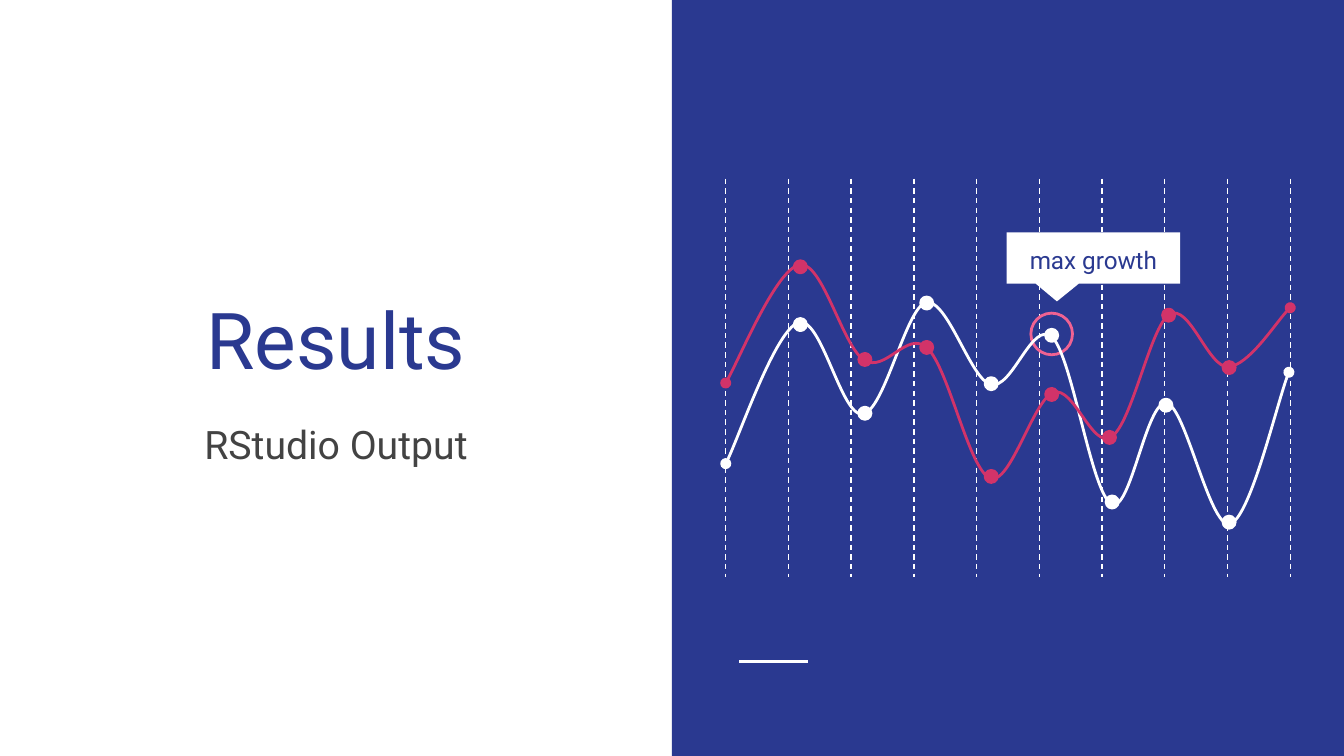
import pptx
import pptx.util
import pptx.dml.color
import pptx.enum.dml
import pptx.enum.shapes
import pptx.enum.text
import pptx.oxml.ns
from lxml import etree

Inches = pptx.util.Inches
Pt = pptx.util.Pt
SHAPE = pptx.enum.shapes.MSO_SHAPE
ANCHOR = pptx.enum.text.MSO_ANCHOR
qn = pptx.oxml.ns.qn

# Widescreen slide, 16:9
WIDTH = 10
HEIGHT = WIDTH * 9 / 16

COLORS = {"blue": "2A3990", "white": "FFFFFF", "red": "D23369",
          "pink": "F06292", "gray": "434343"}

# Each curve: a start point, then two control points and a node per segment
WHITE_CURVE = [
    (5.4, 3.45),
    (5.49, 3.28), (5.77, 2.46), (5.94, 2.4),
    (6.11, 2.34), (6.26, 3.11), (6.42, 3.08),
    (6.58, 3.06), (6.74, 2.29), (6.89, 2.25),
    (7.05, 2.22), (7.22, 2.82), (7.37, 2.86),
    (7.53, 2.91), (7.68, 2.37), (7.83, 2.51),
    (7.98, 2.66), (8.12, 3.67), (8.27, 3.75),
    (8.41, 3.83), (8.53, 2.97), (8.68, 3),
    (8.82, 3.02), (9, 3.93), (9.15, 3.9),
    (9.3, 3.86), (9.51, 2.96), (9.59, 2.77)]
RED_CURVE = [
    (5.4, 2.85),
    (5.49, 2.7), (5.78, 2), (5.95, 1.97),
    (6.12, 1.94), (6.27, 2.58), (6.43, 2.68),
    (6.59, 2.78), (6.75, 2.45), (6.9, 2.59),
    (7.06, 2.74), (7.21, 3.5), (7.37, 3.56),
    (7.52, 3.61), (7.69, 2.97), (7.84, 2.92),
    (7.99, 2.87), (8.13, 3.35), (8.27, 3.25),
    (8.42, 3.16), (8.56, 2.43), (8.7, 2.34),
    (8.85, 2.25), (8.99, 2.74), (9.14, 2.73),
    (9.29, 2.72), (9.52, 2.36), (9.6, 2.29)]

# Left and top of each marker
WHITE_DOTS = [(5.91, 2.37), (6.39, 3.03), (6.85, 2.21), (7.33, 2.81),
              (7.78, 2.45), (8.23, 3.69), (8.63, 2.97), (9.1, 3.84)]
RED_DOTS = [(5.91, 1.94), (6.39, 2.63), (6.85, 2.54), (7.33, 3.5),
            (7.78, 2.89), (8.21, 3.21), (8.65, 2.3), (9.1, 2.69)]
DOT_SIZE = 0.09


def rgb(name):
    return pptx.dml.color.RGBColor.from_string(COLORS[name])


def style_shape(sp, fill=None, line=None):
    sp.shadow.inherit = False
    if fill:
        sp.fill.solid()
        sp.fill.fore_color.rgb = rgb(fill)
    else:
        sp.fill.background()
    if line:
        sp.line.color.rgb = rgb(line)
        sp.line.width = Pt(1.5)
    else:
        sp.line.fill.background()


def add_shape(s, kind, box, fill=None, line=None):
    sp = s.shapes.add_shape(kind, *map(Inches, box))
    style_shape(sp, fill, line)
    return sp


def add_line(s, start, end, width, dash=None):
    cxn = s.shapes.add_connector(pptx.enum.shapes.MSO_CONNECTOR.STRAIGHT,
                                 *map(Inches, start + end))
    cxn.line.color.rgb = rgb("white")
    cxn.line.width = Pt(width)
    if dash:
        cxn.line.dash_style = dash
    etree.SubElement(cxn._element.spPr, qn("a:effectLst"))


def add_curve(s, points, color):
    pts = [(Inches(x), Inches(y)) for x, y in points]
    builder = s.shapes.build_freeform(*pts[0])
    builder.add_line_segments(pts[1:], close=False)
    sp = builder.convert_to_shape()
    style_shape(sp, line=color)

    # Turn every three line segments into one Bézier segment
    path = sp._element.find(".//" + qn("a:path"))
    segments = path.findall(qn("a:lnTo"))
    for i in range(0, len(segments), 3):
        bezier = etree.SubElement(path, qn("a:cubicBezTo"))
        for segment in segments[i:i + 3]:
            bezier.append(segment[0])
            path.remove(segment)

    # Round markers at both ends
    ln = sp._element.spPr.find(qn("a:ln"))
    for tag in ("a:headEnd", "a:tailEnd"):
        etree.SubElement(ln, qn(tag), type="oval")


def add_series(s, curve, dots, color):
    add_curve(s, curve, color)
    for x, y in dots:
        add_shape(s, SHAPE.OVAL, (x, y, DOT_SIZE, DOT_SIZE), color, color)


def set_text(sp, box, text, size, color, anchor, spacing=1.0):
    for name, value in zip(("left", "top", "width", "height"), box):
        setattr(sp, name, Inches(value))
    tf = sp.text_frame
    frame_format = {"word_wrap": True, "vertical_anchor": anchor,
                    "auto_size": pptx.enum.text.MSO_AUTO_SIZE.NONE}
    for side in ("left", "top", "right", "bottom"):
        frame_format["margin_" + side] = Inches(0.1)
    for name, value in frame_format.items():
        setattr(tf, name, value)
    p = tf.paragraphs[0]
    p.alignment = pptx.enum.text.PP_ALIGN.CENTER
    p.line_spacing = spacing
    r = p.add_run()
    r.text = text
    for name, value in {"name": "Roboto", "size": Pt(size)}.items():
        setattr(r.font, name, value)
    r.font.color.rgb = rgb(color)


def add_text(s, box, *text_format):
    set_text(s.shapes.add_textbox(*map(Inches, box)), box, *text_format)


def main():
    prs = pptx.Presentation()
    prs.slide_width, prs.slide_height = Inches(WIDTH), Inches(HEIGHT)
    s = prs.slides.add_slide(prs.slide_layouts[5])

    # Blue right half with its short rule
    add_shape(s, SHAPE.RECTANGLE, (WIDTH / 2, 0, WIDTH / 2, HEIGHT), "blue")
    add_line(s, (5.5, 4.92), (6.01, 4.92), 1.5)

    # Title and subtitle
    set_text(s.shapes.title, (0.29, 1.26, 4.42, 1.71),
             "Results", 42, "blue", ANCHOR.BOTTOM)
    add_text(s, (0.29, 3.03, 4.42, 1.39),
             "RStudio Output", 21, "gray", ANCHOR.TOP)

    # Ten evenly spaced grid lines
    for i in range(10):
        x = 5.4 + i * 4.2 / 9
        add_line(s, (x, 1.33), (x, 4.29), 0.75,
                 pptx.enum.dml.MSO_LINE.DASH)

    # Curves, highlight ring and callout
    add_shape(s, SHAPE.OVAL, (7.67, 2.33, 0.31, 0.31), line="pink")
    add_series(s, WHITE_CURVE, WHITE_DOTS, "white")
    callout = add_shape(s, SHAPE.ROUNDED_RECTANGULAR_CALLOUT,
                        (7.49, 1.73, 1.29, 0.38), "white")
    for i, value in enumerate((-0.21, 0.85, 0)):
        callout.adjustments[i] = value
    add_series(s, RED_CURVE, RED_DOTS, "red")
    add_text(s, (7.49, 1.76, 1.29, 0.31),
             "max growth", 13, "blue", ANCHOR.MIDDLE, 1.15)

    prs.save("out.pptx")


if __name__ == "__main__":
    main()
